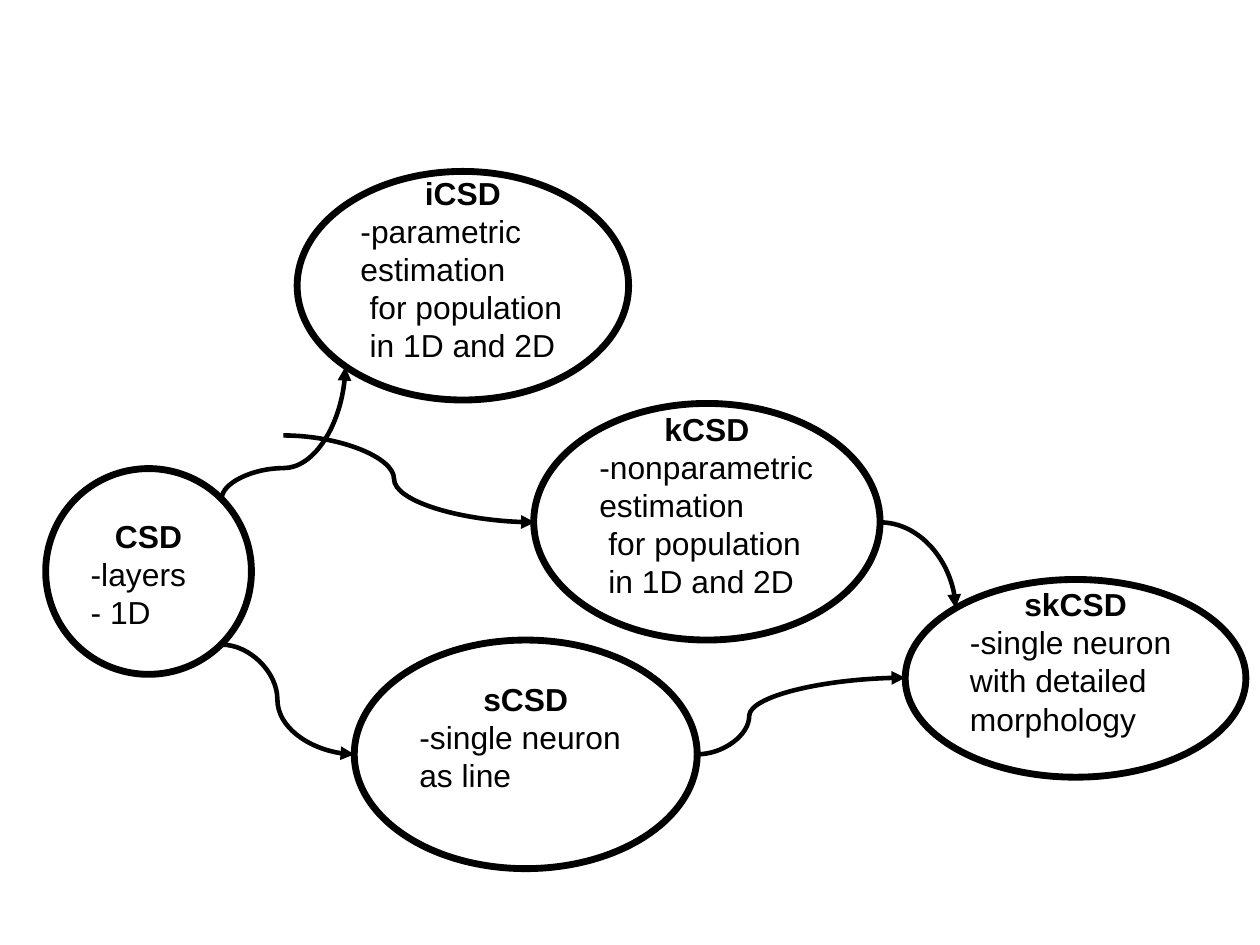
from dataclasses import dataclass

from pptx import Presentation
from pptx.dml.color import RGBColor
from pptx.enum.shapes import MSO_CONNECTOR, MSO_SHAPE
from pptx.enum.text import MSO_ANCHOR, MSO_AUTO_SIZE, PP_ALIGN
from pptx.oxml.ns import qn
from pptx.util import Cm, Inches, Pt
from lxml.etree import SubElement


@dataclass(frozen=True)
class Theme:
    ink: RGBColor = RGBColor(0, 0, 0)
    paper: RGBColor = RGBColor(255, 255, 255)
    font: str = "Arial"
    size: Pt = Pt(20)
    leading: Pt = Pt(24)
    outline: Pt = Pt(4.31)
    arrow: Pt = Pt(2.89)


THEME = Theme()
LIFT = 0.15    # text sits this far above the middle of an ellipse
HANG = 0.08    # indent of continuation lines

# Name, (left, top, width, height), lift, lines as (text, indent)
POPULATION = [("estimation", 0), ("for population", HANG), ("in 1D and 2D", HANG)]
METHODS = [
    ("CSD", (0.4, 4.1, 1.8, 1.8), -0.02, [("-layers", 0), ("- 1D", 0)]),
    ("iCSD", (2.6, 1.5, 2.9, 2), LIFT, [("-parametric", 0)] + POPULATION),
    ("kCSD", (4.67, 3.53, 3.03, 2.07), LIFT, [("-nonparametric", 0)] + POPULATION),
    ("sCSD", (3.1, 5.6, 3, 2), LIFT, [("-single neuron", 0), ("as line", 0)]),
    ("skCSD", (7.92, 5.07, 2.98, 1.73), LIFT,
     [("-single neuron", 0), ("with detailed", 0), ("morphology", 0)]),
]

# Start, end, place of the bend (None: a single quarter turn), starts upright
ARROWS = [
    ((1.94, 4.36), (3.02, 3.21), 0.23, True),
    ((2.48, 3.81), (4.68, 4.57), 0.44, False),
    ((1.94, 5.64), (3.1, 6.6), 0.42, False),
    ((6.1, 6.6), (7.92, 5.93), 0.25, False),
    ((7.7, 4.57), (8.36, 5.32), None, False),
]


def add_method(slide, name, box, lift, lines):
    """Ellipse with a bold centred name above left-aligned lines."""
    sp = slide.shapes.add_shape(MSO_SHAPE.OVAL, *map(Inches, box))
    sp.shadow.inherit = False
    sp.fill.solid()
    sp.fill.fore_color.rgb = THEME.paper
    sp.line.color.rgb = THEME.ink
    sp.line.width = THEME.outline

    tf = sp.text_frame
    tf.word_wrap = True
    tf.auto_size = MSO_AUTO_SIZE.NONE
    tf.vertical_anchor = MSO_ANCHOR.MIDDLE
    tf.margin_left = tf.margin_right = Inches(0.13)
    tf.margin_top = Inches(0.08 + max(-2 * lift, 0))
    tf.margin_bottom = Inches(0.08 + max(2 * lift, 0))

    tf.text = "\n".join([name] + [text for text, _ in lines])
    indents = [0] + [indent for _, indent in lines]
    for i, (p, indent) in enumerate(zip(tf.paragraphs, indents)):
        p.alignment = PP_ALIGN.LEFT if i else PP_ALIGN.CENTER
        p.line_spacing = THEME.leading
        if indent:
            p._p.get_or_add_pPr().set("marL", str(Inches(indent)))
        font = p.runs[0].font
        font.name, font.size, font.bold = THEME.font, THEME.size, i == 0
        font.color.rgb = THEME.ink


def add_arrow(slide, start, end, bend, upright):
    """Curved connector with an arrowhead at its end."""
    (x1, y1), (x2, y2) = start, end
    if upright:  # lay the path on its side; a quarter turn sets it upright
        cx, cy = (x1 + x2) / 2, (y1 + y2) / 2
        x1, y1, x2, y2 = (cx + y1 - cy, cy - x1 + cx,
                          cx + y2 - cy, cy - x2 + cx)
    line = slide.shapes.add_connector(
        MSO_CONNECTOR.CURVE, *map(Inches, (x1, y1, x2, y2)))
    line.line.color.rgb = THEME.ink
    line.line.width = THEME.arrow

    spPr = line._element.spPr
    if upright:
        spPr.find(qn("a:xfrm")).set("rot", str(90 * 60000))
    geom = spPr.find(qn("a:prstGeom"))
    if bend is None:
        geom.set("prst", "curvedConnector2")
    else:
        SubElement(geom.find(qn("a:avLst")), qn("a:gd"),
                   name="adj1", fmla=f"val {round(bend * 100000)}")
    SubElement(spPr.find(qn("a:ln")), qn("a:tailEnd"), type="triangle")
    SubElement(spPr, qn("a:effectLst"))


def main():
    prs = Presentation()
    prs.slide_width, prs.slide_height = Cm(28), Cm(21)  # metric page
    slide = prs.slides.add_slide(prs.slide_layouts[6])

    # Methods
    for method in METHODS:
        add_method(slide, *method)

    # Lines of descent
    for arrow in ARROWS:
        add_arrow(slide, *arrow)

    prs.save("out.pptx")


if __name__ == "__main__":
    main()
